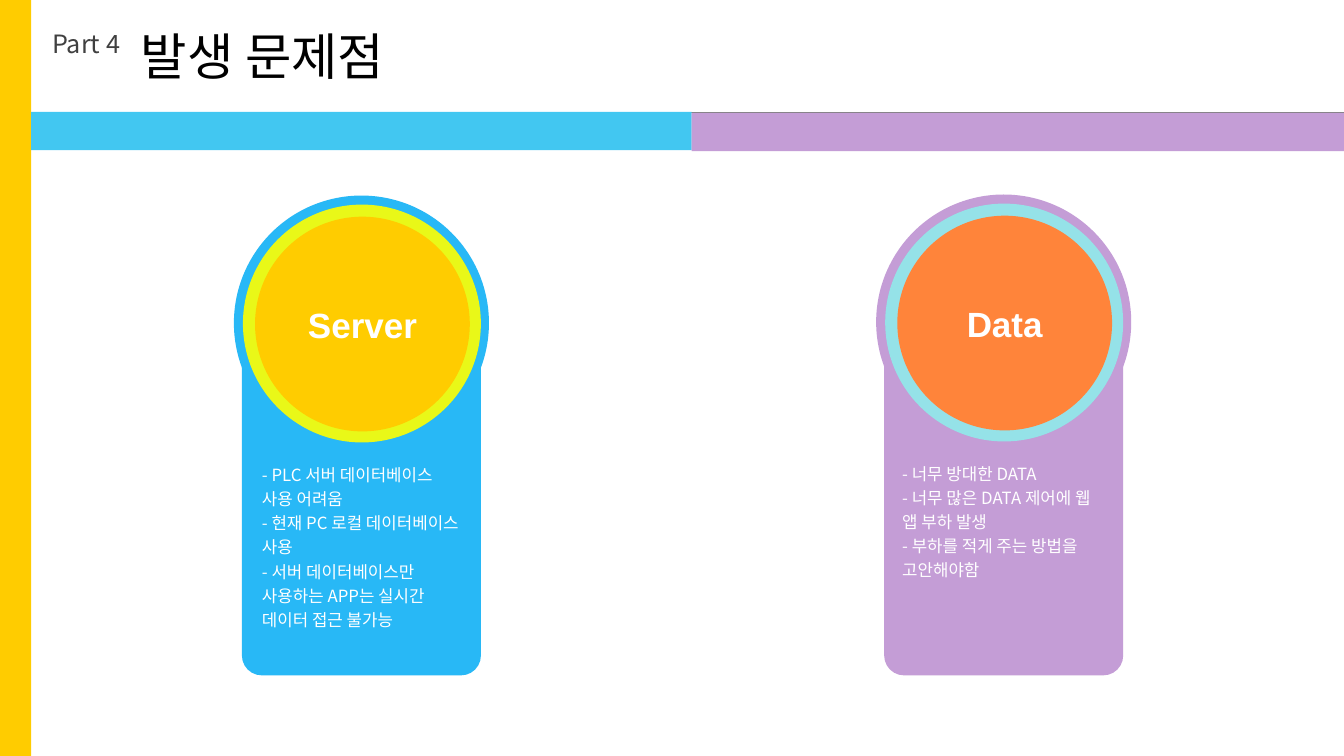
"""Build the slide on problems that occurred, with a Server card and a Data card."""
from lxml import etree
from pptx import Presentation
from pptx.dml.color import RGBColor
from pptx.enum import shapes, text
from pptx.oxml.ns import qn
from pptx.util import Inches, Pt


def add_shape(parent, kind, left, top, width, height, color):
    shape = parent.add_shape(kind, Inches(left), Inches(top), Inches(width), Inches(height))
    shape.shadow.inherit = False
    shape.fill.solid()
    shape.fill.fore_color.rgb = RGBColor.from_string(color)
    shape.line.fill.background()
    return shape


def add_text(parent, left, top, width, height, lines, size, font, color, wrap=False, spacing=None):
    box = parent.add_textbox(Inches(left), Inches(top), Inches(width), Inches(height))
    frame = box.text_frame
    frame.word_wrap = wrap
    frame.auto_size = text.MSO_AUTO_SIZE.SHAPE_TO_FIT_TEXT
    frame.text = "\n".join(lines)
    for paragraph in frame.paragraphs:
        paragraph.line_spacing = spacing
        paragraph.font.size = Pt(size)
        paragraph.font.name = font
        paragraph.font.color.rgb = RGBColor.from_string(color)


BODY_FONT = "Noto Sans CJK KR"
RECTANGLE = shapes.MSO_SHAPE.RECTANGLE
OVAL = shapes.MSO_SHAPE.OVAL

presentation = Presentation()
presentation.slide_width = Inches(13.33)
presentation.slide_height = Inches(7.5)
slide = presentation.slides.add_slide(presentation.slide_layouts[6])

rule = slide.shapes.add_connector(
    shapes.MSO_CONNECTOR.STRAIGHT, Inches(0.31), Inches(1.11), Inches(13.33), Inches(1.11))
rule.line.color.rgb = RGBColor.from_string("808080")
rule.line.width = Pt(0.5)
etree.SubElement(rule._element.spPr, qn("a:effectLst"))

add_text(slide.shapes, 0.42, 0.23, 0.92, 0.39, ["Part 4"], 18, BODY_FONT, "404040")
add_text(slide.shapes, 1.3, 0.2, 2.8, 0.71, ["발생 문제점"], 36, "Arial", "000000")
add_shape(slide.shapes, RECTANGLE, 0, 0, 0.31, 7.5, "FFCC00")

cards = [
    ("Server", 2.32, 1.94, "28B8F6", "FFFF00", "FFCC00", (2.5, 4.52, 2.27, 1.78), [
        "- PLC 서버 데이터베이스",
        "사용 어려움",
        "- 현재 PC 로컬 데이터베이스 사용",
        "- 서버 데이터베이스만 사용하는 APP는 실시간 데이터 접근 불가능",
    ]),
    ("Data", 8.69, 1.93, "C49DD6", "90EAEA", "FF843A", (8.85, 4.51, 2.23, 1.3), [
        "- 너무 방대한 DATA",
        "- 너무 많은 DATA 제어에 웹 앱 부하 발생",
        "- 부하를 적게 주는 방법을 고안해야함",
    ]),
]
for title, left, top, card_color, ring_color, disc_color, notes_area, notes in cards:
    card = slide.shapes.add_group_shape().shapes
    panel = add_shape(card, shapes.MSO_SHAPE.ROUNDED_RECTANGLE,
                      left + 0.08, 3.12, 2.37, 3.58, card_color)
    panel.adjustments[0] = 0.083
    add_shape(card, OVAL, left, top, 2.53, 2.53, card_color)

    ring = add_shape(card, OVAL, left + 0.09, top + 0.09, 2.36, 2.36, ring_color)
    ring_fill = ring._element.spPr.find(".//" + qn("a:srgbClr"))
    etree.SubElement(ring_fill, qn("a:alpha"), val="90000")

    disc = add_shape(card, OVAL, left + 0.21, top + 0.21, 2.13, 2.13, disc_color)
    disc.text_frame.text = title
    disc.text_frame.vertical_anchor = text.MSO_ANCHOR.MIDDLE
    paragraph = disc.text_frame.paragraphs[0]
    paragraph.alignment = text.PP_ALIGN.CENTER
    paragraph.font.size = Pt(25)
    paragraph.font.name = "Arial"
    paragraph.font.bold = True
    paragraph.font.color.rgb = RGBColor.from_string("FFFFFF")

    add_text(card, *notes_area, notes, 12, BODY_FONT, "FFFFFF", wrap=True, spacing=1.2)

add_shape(slide.shapes, RECTANGLE, 0.31, 1.11, 6.55, 0.38, "42C7F1")
add_shape(slide.shapes, RECTANGLE, 6.86, 1.12, 6.47, 0.38, "C49DD6")

presentation.save("out.pptx")
